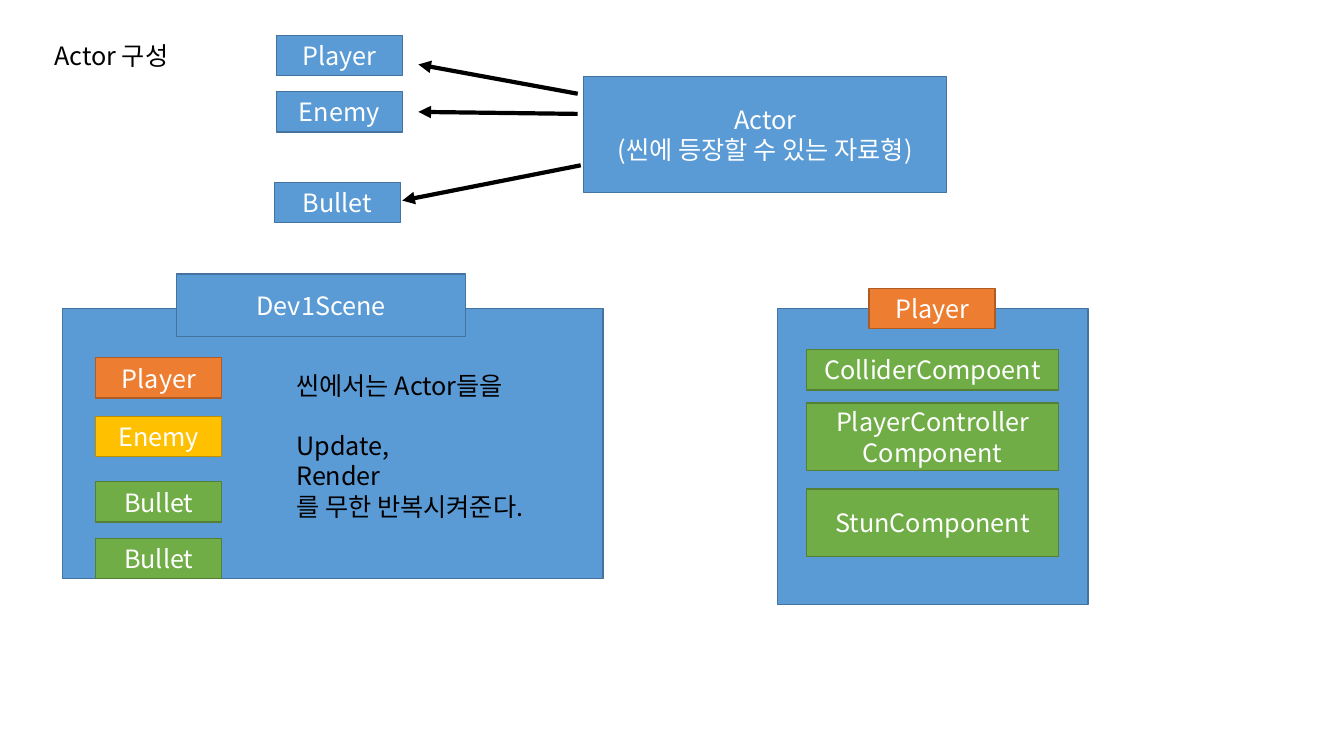
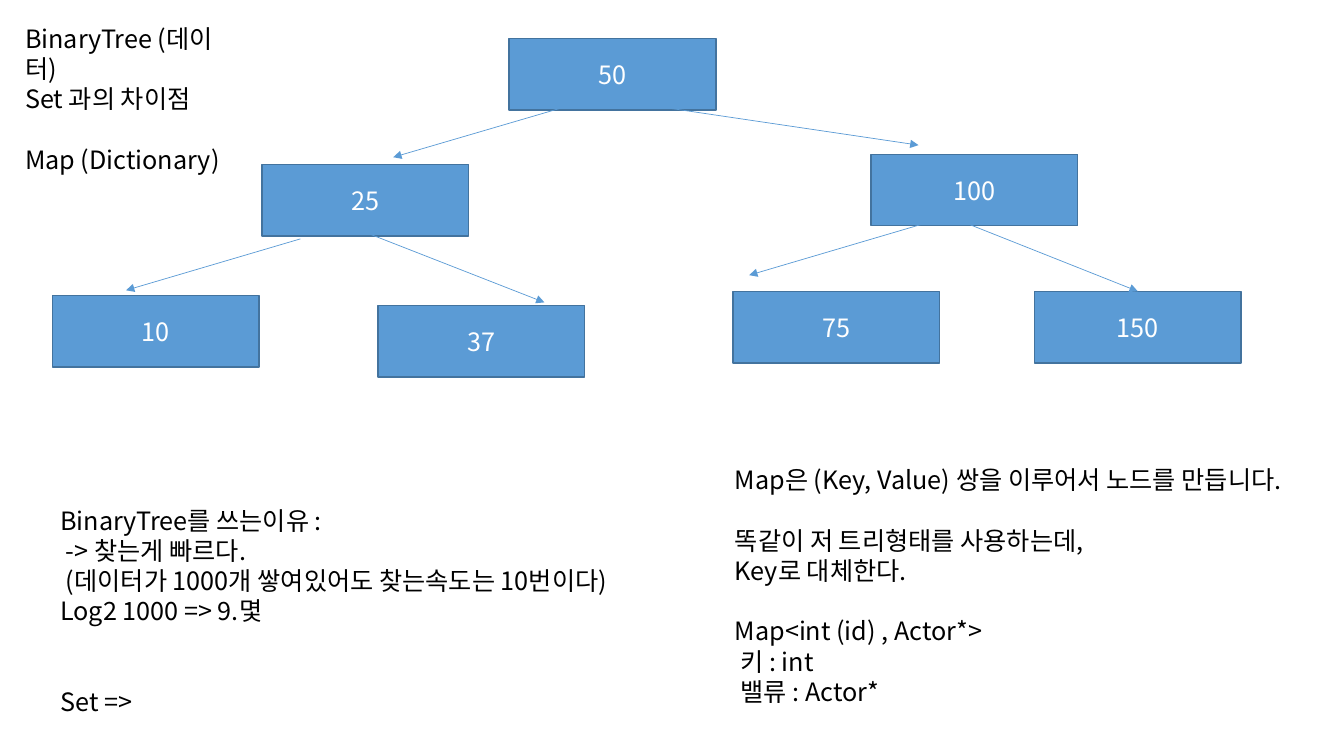
from lxml.etree import SubElement
from pptx import Presentation
from pptx.dml.color import RGBColor
from pptx.enum.shapes import MSO_CONNECTOR, MSO_SHAPE
from pptx.enum.text import MSO_ANCHOR, PP_ALIGN
from pptx.oxml.ns import qn
from pptx.util import Emu, Pt

# Shared look: 100 px to the inch
SCALE = 9144
FONT = "Noto Sans CJK KR"
BLACK, WHITE = "000000", "FFFFFF"
BLUE = ("5B9BD5", "43739E")
ORANGE = ("ED7D31", "AF5C24")
GOLD = ("FFC000", "BD8E00")
GREEN = ("70AD47", "538035")
LINE = Pt(21.6)
TYPE = {"name": FONT, "size": Pt(18)}
LABEL = {"alignment": PP_ALIGN.CENTER, "line_spacing": LINE}
NOTE = {"alignment": PP_ALIGN.LEFT, "line_spacing": LINE}
TAG = (125, 40)
NODE = (205, 71)


def px(*nums):
    return [Emu(n * SCALE) for n in nums]


def color(code):
    return RGBColor.from_string(code)


def style(item, values):
    for name, value in values.items():
        setattr(item, name, value)


def write(frame, lines, ink, format, anchor):
    """Fill a frame; an empty entry becomes space before the next line."""
    style(frame, {"word_wrap": True, "vertical_anchor": anchor})
    gap, fresh = 0, True
    for line in lines:
        if not line:
            gap += 1
            continue
        para = frame.paragraphs[0] if fresh else frame.add_paragraph()
        para.text = line
        style(para, {**format, "space_before": Emu(gap * LINE)})
        for run in para.runs:
            style(run.font, TYPE)
            run.font.color.rgb = color(ink)
            SubElement(run.font._element, qn("a:ea"), typeface=FONT)
        gap, fresh = 0, False


def box(shapes, at, size, paint, *lines):
    shape = shapes.add_shape(MSO_SHAPE.RECTANGLE, *px(*at, *size))
    shape.shadow.inherit = False
    fill, edge = paint
    shape.fill.solid()
    shape.fill.fore_color.rgb = color(fill)
    shape.line.color.rgb = color(edge)
    shape.line.width = Pt(1)
    write(shape.text_frame, lines, WHITE, LABEL, MSO_ANCHOR.MIDDLE)
    return shape


def note(shapes, at, size, *lines):
    area = shapes.add_textbox(*px(*at, *size))
    write(area.text_frame, lines, BLACK, NOTE, MSO_ANCHOR.TOP)


def arrow(shapes, start, end, ink, width):
    link = shapes.add_connector(MSO_CONNECTOR.STRAIGHT, *px(*start, *end))
    link.line.color.rgb = color(ink)
    link.line.width = Pt(width)
    SubElement(link.line._get_or_add_ln(), qn("a:tailEnd"), type="triangle")
    SubElement(link._element.spPr, qn("a:effectLst"))
    return link


def actors(shapes):
    note(shapes, (44, 35), (160, 40), "Actor 구성")

    # Actor and its kinds
    box(shapes, (579, 76), (360, 115), BLUE, "Actor", "(씬에 등장할 수 있는 자료형)")
    for left, top, name in ((274, 35, "Player"), (274, 91, "Enemy"), (272, 181, "Bullet")):
        box(shapes, (left, top), TAG, BLUE, name)
    for start, end in (((573, 93), (415, 64)), ((573, 113), (415, 111)),
                       ((576, 164), (399, 199))):
        arrow(shapes, start, end, BLACK, 3)

    # Scene with its actors
    scene = shapes.add_group_shape().shapes
    box(scene, (62, 306), (536, 268), BLUE)
    box(scene, (175, 272), (287, 62), BLUE, "Dev1Scene")
    for top, paint, name in ((355, ORANGE, "Player"), (413, GOLD, "Enemy"),
                             (478, GREEN, "Bullet"), (534, GREEN, "Bullet")):
        box(shapes, (95, top), TAG, paint, name)
    note(shapes, (284, 362), (281, 162),
         "씬에서는 Actor들을", "", "Update,", "Render", "를 무한 반복시켜준다.")

    # Player with its components
    box(shapes, (771, 306), (308, 294), BLUE)
    box(shapes, (862, 286), TAG, ORANGE, "Player")
    for top, height, lines in ((347, 40, ["ColliderCompoent"]),
                               (400, 67, ["PlayerController", "Component"]),
                               (485, 67, ["StunComponent"])):
        box(shapes, (800, top), (250, height), GREEN, *lines)


def tree(shapes):
    note(shapes, (15, 18), (238, 161),
         "BinaryTree (데이\n터)", "Set 과의 차이점", "", "Map (Dictionary)")

    # Nodes
    spots = {"50": (505, 38), "25": (260, 163), "100": (864, 153), "10": (52, 293),
             "37": (375, 303), "75": (727, 289), "150": (1026, 289)}
    nodes = {key: box(shapes, at, NODE, BLUE, key) for key, at in spots.items()}

    # Branches
    for start, end in (((648, 105), (911, 144)), ((564, 105), (390, 156)),
                       ((298, 237), (125, 288)), ((916, 222), (743, 273)),
                       ((338, 221), (540, 300))):
        arrow(shapes, start, end, BLUE[0], 0.5)
    last = arrow(shapes, (927, 209), (1129, 289), BLUE[0], 0.5)
    last.end_connect(nodes["150"], 0)

    # Explanations
    note(shapes, (50, 496), (618, 222),
         "BinaryTree를 쓰는이유 :", " -> 찾는게 빠르다.",
         " (데이터가 1000개 쌓여있어도 찾는속도는 10번이다)",
         "Log2 1000 => 9.몇", "", "", "Set =>")
    note(shapes, (719, 456), (606, 252),
         "Map은 (Key, Value) 쌍을 이루어서 노드를 만듭니다.", "",
         "똑같이 저 트리형태를 사용하는데,", "Key로 대체한다.", "",
         "Map<int (id) , Actor*>", " 키 : int", " 밸류 : Actor*")


def main():
    deck = Presentation()
    deck.slide_width, deck.slide_height = px(1333, 750)
    for draw in (actors, tree):
        draw(deck.slides.add_slide(deck.slide_layouts[6]).shapes)
    deck.save("out.pptx")


if __name__ == "__main__":
    main()
